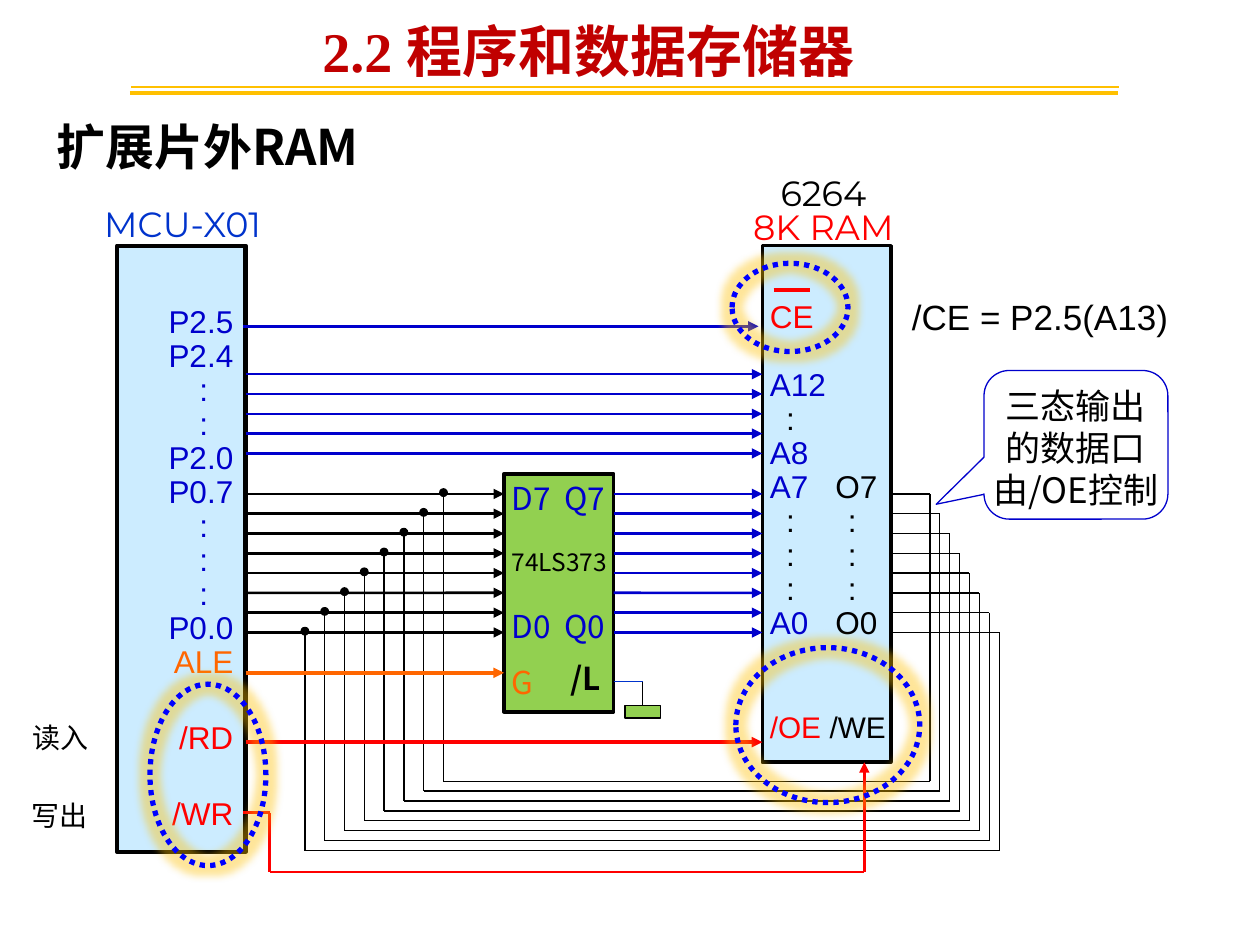
from pptx import Presentation
from pptx.dml.color import RGBColor
from pptx.enum.dml import MSO_LINE
from pptx.enum.shapes import MSO_CONNECTOR, MSO_SHAPE
from pptx.enum.text import MSO_ANCHOR, PP_ALIGN
from pptx.oxml.ns import qn
from pptx.util import Inches, Pt
from lxml.etree import SubElement

BLACK, BLUE, RED, ORANGE = "000000", "0000CC", "FF0000", "FF6600"
SKY, GREEN, GOLD = "CCECFF", "92D050", "FFC000"
CJK = "Noto Sans CJK SC"
STEP = 1.1 / 7
BUS_Y = [3.92 + i * STEP for i in range(8)]
CPU_X, LATCH_L, LATCH_R, RAM_L, RAM_R = 1.95, 4, 4.87, 6.05, 7.07


def rgb(value):
    """Turn a hex string into a colour."""
    return RGBColor.from_string(value)


def add_wire(s, start, end, color=BLACK, width=0.75, arrow=False):
    """Draw a straight line, with an arrowhead at its end if asked."""
    wire = s.shapes.add_connector(MSO_CONNECTOR.STRAIGHT, *map(Inches, start + end))
    wire.line.color.rgb = rgb(color)
    wire.line.width = Pt(width)
    if arrow:
        SubElement(wire.line._get_or_add_ln(), qn("a:tailEnd"), type="triangle")
    SubElement(wire._element.spPr, qn("a:effectLst"))
    return wire


def add_path(s, points, color=BLACK, width=0.75, arrow=False):
    """Draw a chain of lines through the points, the last one with the arrowhead."""
    for i, (start, end) in enumerate(zip(points, points[1:])):
        add_wire(s, start, end, color, width, arrow and i == len(points) - 2)


def add_block(s, kind, box, fill, line, width):
    """Add a preset shape without shadow."""
    sp = s.shapes.add_shape(kind, *map(Inches, box))
    sp.shadow.inherit = False
    if fill:
        sp.fill.solid()
        sp.fill.fore_color.rgb = rgb(fill)
    else:
        sp.fill.background()
    sp.line.color.rgb = rgb(line)
    sp.line.width = Pt(width)
    return sp


def add_ring(s, box):
    """Add a dotted ellipse with a golden glow."""
    sp = add_block(s, MSO_SHAPE.OVAL, box, None, "0000FF", 3)
    sp.line.dash_style = MSO_LINE.ROUND_DOT
    effects = sp._element.spPr.find(qn("a:effectLst"))
    glow = SubElement(effects, qn("a:glow"), rad=str(Pt(9)))
    color = SubElement(glow, qn("a:srgbClr"), val=GOLD)
    SubElement(color, qn("a:alpha"), val="40000")


def set_frame(sp, insets=(0.1, 0.05, 0.1, 0.05), anchor=MSO_ANCHOR.TOP, wrap=False):
    """Set the margins, anchor and wrapping of a shape's text."""
    tf = sp.text_frame
    tf.margin_left, tf.margin_top, tf.margin_right, tf.margin_bottom = map(Inches, insets)
    tf.vertical_anchor = anchor
    tf.word_wrap = wrap
    return tf


def format_run(r, size, font, color, bold=False):
    """Set the look of a run, East Asian font included."""
    r.font.size = Pt(size)
    r.font.name = font
    r.font.bold = bold
    r.font.color.rgb = rgb(color)
    SubElement(r._r.get_or_add_rPr(), qn("a:ea"), typeface=CJK)


def add_line(tf, runs, size=18, font="Arial", align=PP_ALIGN.LEFT, spacing=None,
             before=0, tabs=(), right=0, bold=False):
    """Write one paragraph made of (text, colour) runs."""
    p = tf.paragraphs[0] if not tf.paragraphs[0].runs else tf.add_paragraph()
    pPr = p._p.get_or_add_pPr()
    pPr.set("marR", str(Inches(right)))
    if tabs:
        tab_list = SubElement(pPr, qn("a:tabLst"))
        for stop in tabs:
            SubElement(tab_list, qn("a:tab"), pos=str(Inches(stop)), algn="l")
    p.alignment = align
    if spacing:
        p.line_spacing = spacing
    if before:
        p.space_before = Pt(before)
    for text, color in runs:
        r = p.add_run()
        r.text = text
        format_run(r, size, font, color, bold)
    return p


def add_label(s, box, text, size, font=CJK, color=BLACK, bold=False, center=False,
              anchor=MSO_ANCHOR.TOP, wrap=False, spacing=None):
    """Add a text box with one paragraph."""
    tf = set_frame(s.shapes.add_textbox(*map(Inches, box)), anchor=anchor, wrap=wrap)
    align = PP_ALIGN.CENTER if center else PP_ALIGN.LEFT
    return add_line(tf, [(text, color)], size, font, align, spacing, bold=bold)


def add_cpu(s):
    """Add the microcontroller with its pin names."""
    sp = add_block(s, MSO_SHAPE.RECTANGLE, (0.93, 1.95, 1.02, 4.81), SKY, BLACK, 2.5)
    tf = set_frame(sp, (0.1, 0.48, 0.1, 0.05))
    pins = [(t, BLUE, 0) for t in "P2.5 P2.4 : : P2.0 P0.7 : : : P0.0".split()]
    pins += [("ALE", ORANGE, 0), ("/RD", RED, 24), ("/WR", RED, 24)]
    for text, color, before in pins:
        add_line(tf, [(text, color)], align=PP_ALIGN.RIGHT, spacing=Pt(19.4),
                 before=before, right=0.2 if text == ":" else 0)


def add_ram(s):
    """Add the memory chip with its pin names."""
    sp = add_block(s, MSO_SHAPE.RECTANGLE, (RAM_L, 1.95, 1.02, 4.1), SKY, BLACK, 2)
    tf = set_frame(sp, (0.06, 0.44, 0.06, 0.05))
    dots, pair = (0.13, 0.62), (0.52,)
    rows = [([("CE", RED)], 0, ()), ([("A12", BLUE)], 19.4, ()),
            ([("\t:", BLACK)], 0, dots), ([("A8", BLUE)], 0, ()),
            ([("A7\t", BLUE), ("O7", BLACK)], 0, pair)]
    rows += [([("\t:\t:", BLACK)], 0, dots)] * 3
    rows += [([("A0\t", BLUE), ("O0", BLACK)], 0, pair)]
    for runs, before, tabs in rows:
        add_line(tf, runs, spacing=Pt(19.4), before=before, tabs=tabs)
    add_line(tf, [("/OE ", RED), ("/WE", BLACK)], 17, spacing=Pt(19.4), before=40)


def add_latch(s):
    """Add the address latch with its pin names."""
    sp = add_block(s, MSO_SHAPE.RECTANGLE, (LATCH_L, 3.76, 0.87, 1.89), GREEN, BLACK, 2)
    tf = set_frame(sp, (0.06, 0.01, 0.02, 0.01))
    for text, size, color, before in (("D7\tQ7", 18, BLUE, 0), ("74LS373", 14, BLACK, 10),
                                      ("D0\tQ0", 18, BLUE, 15), ("G", 18, ORANGE, 8)):
        add_line(tf, [(text, color)], size, CJK, spacing=Pt(24), before=before, tabs=(0.42,))
    return sp


def add_buses(s, latch):
    """Draw the address lines and the data lines that return from the memory."""
    for i in range(5):
        y = 2.97 + i * STEP
        add_wire(s, (CPU_X, y), (RAM_L, y), BLUE, 1.5, True)
    for i, y in enumerate(BUS_Y):
        data = add_wire(s, (CPU_X, y), (LATCH_L, y), BLACK, 1.5, True)
        address = add_wire(s, (LATCH_R, y), (RAM_L, y), BLUE, 1.5, True)
        if i == 5:
            data.end_connect(latch, 1)
            address.begin_connect(latch, 3)
        tap, low, far = 3.52 - i * STEP, 6.2 + i * STEP / 2, 7.38 + i * STEP / 2
        add_path(s, [(tap, y), (tap, low), (far, low), (far, y), (RAM_R, y)])
        add_block(s, MSO_SHAPE.OVAL, (tap - 0.03, y - 0.04, 0.06, 0.06), BLACK, BLACK, 0.75)


def add_controls(s):
    """Draw the control lines and the grounded latch pin."""
    add_wire(s, (CPU_X, 5.34), (LATCH_L, 5.34), ORANGE, 2, True)
    add_wire(s, (CPU_X, 5.89), (RAM_L, 5.89), RED, 2, True)
    add_wire(s, (1.93, 2.59), (6.02, 2.59), BLUE, 1.5, True)
    add_wire(s, (6.14, 2.3), (6.43, 2.3), RED, 2)
    add_path(s, [(1.93, 6.45), (2.14, 6.45), (2.14, 6.92), (6.86, 6.92), (6.86, 6.05)],
             RED, 1.5, True)
    add_wire(s, (LATCH_R, 5.41), (5.1, 5.41), "0033CC")
    ground = add_block(s, MSO_SHAPE.RECTANGLE, (4.96, 5.6, 0.28, 0.1), GREEN, BLACK, 0.75)
    add_wire(s, (5.1, 5.41), (5.1, 5.6)).end_connect(ground, 0)


def add_labels(s):
    """Add the title, the captions and the callout."""
    add_wire(s, (1.03, 0.74), (8.87, 0.74), GOLD, 2.25)
    add_wire(s, (1.04, 0.69), (8.88, 0.69), GOLD, 1.5)
    title = add_label(s, (2.46, -0.05, 5.57, 0.73), "2.2 程序和数据存储器", 32,
                      "Times New Roman", "C00000", True, wrap=True, spacing=1.25)
    pPr = title._p.get_or_add_pPr()
    pPr.set("marL", str(Inches(0.62)))
    pPr.set("indent", str(Inches(-0.67)))
    middle = MSO_ANCHOR.MIDDLE
    add_label(s, (0.35, 0.88, 3.15, 0.55), "扩展片外RAM", 28, bold=True, anchor=middle, wrap=True)
    add_label(s, (0.15, 6.29, 1, 0.37), "写出", 16, wrap=True)
    add_label(s, (0.16, 5.67, 1, 0.37), "读入", 16, wrap=True)
    add_label(s, (4.43, 5.18, 0.46, 0.4), "/L", 18, bold=True)
    add_label(s, (0.65, 1.62, 1.6, 0.3), "MCU-X01", 20, "Montserrat", "0033CC",
              center=True, anchor=middle)
    add_label(s, (7.1, 2.27, 2.31, 0.48), "/CE = P2.5(A13)", 20, "Arial",
              center=True, anchor=middle)
    box = s.shapes.add_textbox(*map(Inches, (5.77, 1.35, 1.53, 0.69)))
    tf = set_frame(box, (0.02, 0.01, 0.02, 0.01), middle)
    for text, color in (("6264", BLACK), ("8K RAM", RED)):
        add_line(tf, [(text, color)], 20, "Montserrat", PP_ALIGN.CENTER, 0.8)
    callout = add_block(s, MSO_SHAPE.ROUNDED_RECTANGULAR_CALLOUT, (7.81, 2.94, 1.46, 1.18),
                        None, BLUE, 0.75)
    for i, value in enumerate((-0.76, 0.4, 0.17)):
        callout.adjustments[i] = value
    tf = set_frame(callout, (0, 0.05, 0, 0.05), wrap=True)
    add_line(tf, [("三态输出的数据口由/OE控制", BLACK)], 20, CJK, PP_ALIGN.CENTER)


def main():
    """Build the slide and save it."""
    prs = Presentation()
    prs.slide_width, prs.slide_height = Inches(10), Inches(7.5)
    s = prs.slides.add_slide(prs.slide_layouts[6])
    add_cpu(s)
    add_ram(s)
    latch = add_latch(s)
    add_buses(s, latch)
    add_controls(s)
    add_labels(s)
    for box in ((5.81, 2.09, 0.92, 0.7), (1.19, 5.43, 0.92, 1.44), (5.84, 5.14, 1.46, 1.23)):
        add_ring(s, box)
    prs.save("out.pptx")


if __name__ == "__main__":
    main()
